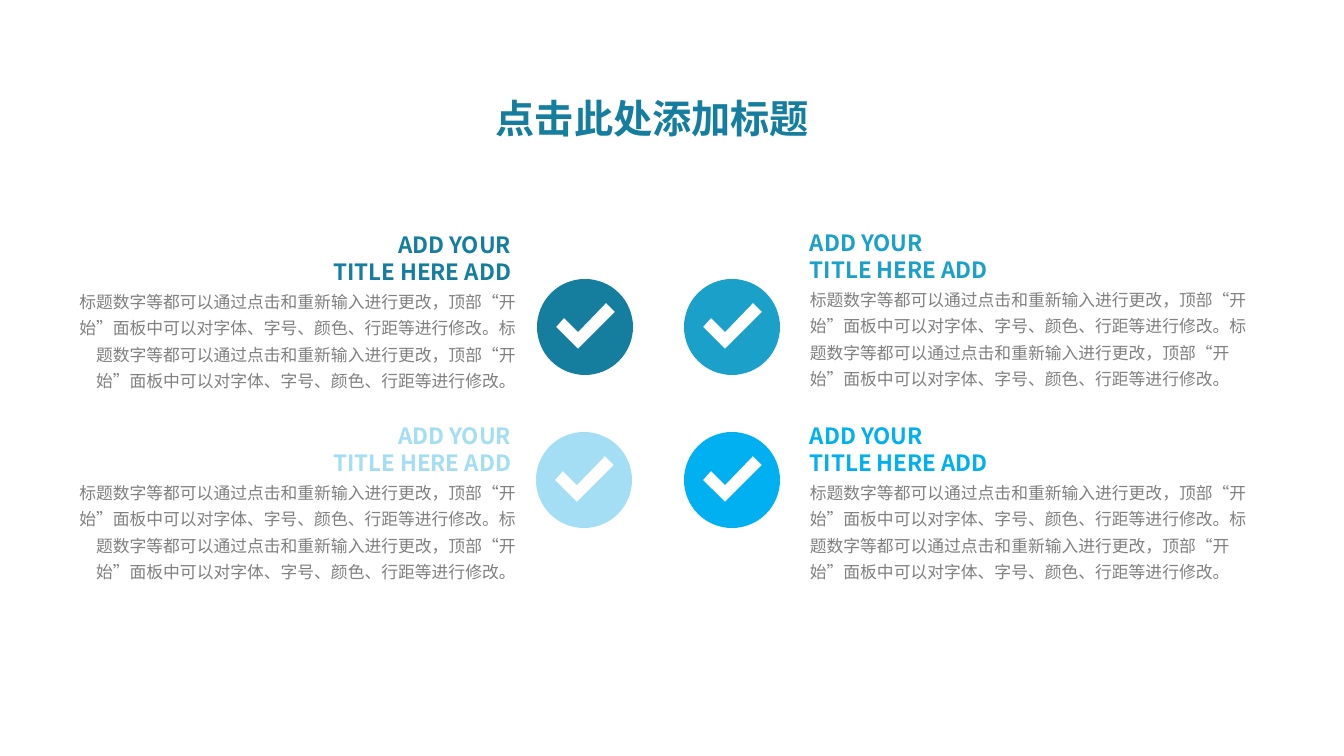
"""Build a title slide with four ticked points in two columns."""
from math import cos, pi, sin

from lxml.etree import SubElement
from pptx import Presentation
from pptx.dml.color import RGBColor as RGB
from pptx.enum.text import MSO_AUTO_SIZE as FIT, PP_ALIGN as ALIGN
from pptx.oxml.ns import qn
from pptx.util import Emu, Pt

THEME = {
    "font": "Noto Sans CJK SC",
    "teal": "157E9F", "sea": "1BA0C9", "pale": "A4DEF4", "sky": "00B0F0",
    "grey": "808080", "white": "FFFFFF",
    "title": 28, "head": 16, "body": 12,
}
SCALE = 914400 / 100.8
RADIUS = 48
SIDES = 64
TICK = [(-7, 22), (-29, 0), (-21, -9), (-7, 5), (21, -24), (30, -15)]
HEAD = "ADD YOUR\nTITLE HERE ADD"
BODY = "标题数字等都可以通过点击和重新输入进行更改，顶部“开始”面板中可以对字体、字号、颜色、行距等进行修改。" * 2
LEFT = {"head": 174, "body": 67, "align": ALIGN.RIGHT}
RIGHT = {"head": 800, "body": 800, "align": ALIGN.LEFT}
POINTS = [
    (LEFT, 226, (585, 327), "teal"),
    (RIGHT, 224, (732, 327), "sea"),
    (RIGHT, 417, (732, 480), "sky"),
    (LEFT, 417, (584, 480), "pale"),
]


def px(n):
    return Emu(round(n * SCALE))


def style(item, form):
    for key, value in form.items():
        setattr(item, key, value)


def add_text(slide, box, text, size, color, align=ALIGN.LEFT, space=None):
    frame = slide.shapes.add_textbox(*map(px, box)).text_frame
    style(frame, {"word_wrap": True, "auto_size": FIT.SHAPE_TO_FIT_TEXT,
                  "text": text})
    for para in frame.paragraphs:
        style(para, {"alignment": align, "line_spacing": space})
        for run in para.runs:
            style(run.font, {"size": Pt(THEME[size]), "name": THEME["font"],
                             "bold": size != "body"})
            run.font.color.rgb = RGB.from_string(THEME[color])
            east = SubElement(run.font._element, qn("a:ea"))
            east.set("typeface", THEME["font"])


def add_tick(slide, mid, color):
    turns = [2 * pi * i / SIDES for i in range(SIDES)]
    ring = [(RADIUS * sin(t), -RADIUS * cos(t)) for t in turns]
    disc, tick = [[(px(mid[0] + x), px(mid[1] + y)) for x, y in line]
                  for line in (ring, TICK)]
    pen = slide.shapes.build_freeform(*disc[0])
    pen.add_line_segments(disc[1:])
    pen.move_to(*tick[0])
    pen.add_line_segments(tick[1:])
    shape = pen.convert_to_shape()
    shape.shadow.inherit = False
    shape.fill.solid()
    shape.fill.fore_color.rgb = RGB.from_string(THEME[color])
    shape.line.fill.background()


def add_point(slide, side, top, color):
    align = side["align"]
    add_text(slide, (side["body"], top + 55, 459, 116), BODY,
             "body", "grey", align, 1.3)
    add_text(slide, (side["head"], top, 347, 65), HEAD, "head", color, align)


def main():
    deck = Presentation()
    style(deck, {"slide_width": px(1344), "slide_height": px(756)})
    slide = deck.slides.add_slide(deck.slide_layouts[6])
    back = slide.background.fill
    back.solid()
    back.fore_color.rgb = RGB.from_string(THEME["white"])
    add_text(slide, (486, 89, 347, 57), "点击此处添加标题", "title", "teal")
    for side, top, mid, color in POINTS:
        add_tick(slide, mid, color)
    for side, top, mid, color in POINTS:
        add_point(slide, side, top, color)
    deck.save("out.pptx")


if __name__ == "__main__":
    main()
